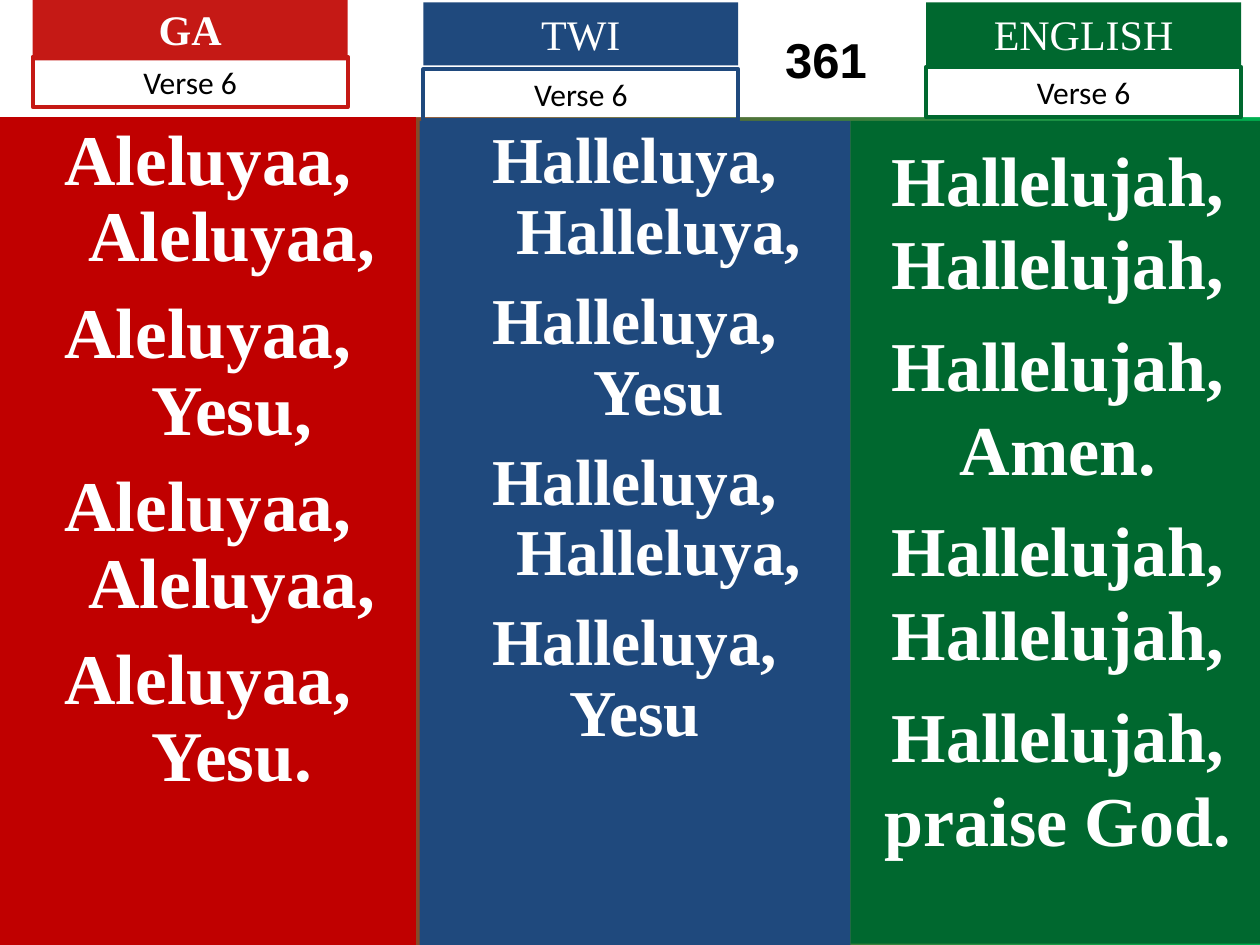
from dataclasses import dataclass

from lxml import etree
from pptx import Presentation
from pptx.dml.color import RGBColor
from pptx.enum.text import MSO_ANCHOR, MSO_AUTO_SIZE, PP_ALIGN
from pptx.oxml.ns import qn
from pptx.util import Emu, Inches, Pt

CENTER = PP_ALIGN.CENTER
TOP, MIDDLE = MSO_ANCHOR.TOP, MSO_ANCHOR.MIDDLE
NO_FIT = MSO_AUTO_SIZE.NONE
TWO_CONTENT = 3

# The slide is a grid of 100 columns by 75 rows
WIDTH, HEIGHT = Inches(10), Inches(7.5)
COLUMN, ROW = WIDTH / 100, HEIGHT / 75


@dataclass(frozen=True)
class Theme:
    white: str = "FFFFFF"
    black: str = "000000"
    red: str = "C51915"
    deep_red: str = "C00000"
    blue: str = "1F497D"
    green: str = "00682F"
    bright_green: str = "00B050"
    lyric_font: str = "Times New Roman"
    number_font: str = "Arial"
    verse_font: str = "Calibri"
    number_size: float = 28
    heading_size: float = 24
    verse_size: float = 18
    outline: float = 2.25


THEME = Theme()


@dataclass(frozen=True)
class Area:
    left: float
    top: float
    width: float
    height: float


@dataclass(frozen=True)
class TextStyle:
    font: str
    size: float
    color: str
    bold: bool = False
    spacing: float = 1.0
    before: float = 0
    hanging: float = 0


@dataclass(frozen=True)
class Language:
    name: str
    bold_name: bool
    accent: str
    fill: str
    column: Area
    inset: float
    style: TextStyle
    lines: tuple[str, ...]
    flush_last: bool
    tag_left: float
    heading_top: float
    verse_top: float


def lyric_style(size: float, before: float, spacing: float = 1.0, hanging: float = 0) -> TextStyle:
    return TextStyle(THEME.lyric_font, size, THEME.white, True, spacing, before, hanging)


LANGUAGES = (
    Language("GA", True, THEME.red, THEME.deep_red, Area(0, 9.3, 33, 65.7), 0.5,
             lyric_style(40.7, 11, 0.9, 3.8),
             ("Aleluyaa, Aleluyaa,", "Aleluyaa, Yesu,") + ("Aleluyaa, Aleluyaa,", "Aleluyaa, Yesu."),
             False, 2.6, -0.2, 4.5),
    Language("TWI", False, THEME.blue, THEME.blue, Area(33.3, 9.6, 34.2, 65.4), 0.5,
             lyric_style(37.4, 11, 0.9, 3.8),
             ("Halleluya, Halleluya,", "Halleluya, Yesu") * 2,
             True, 33.6, 0.2, 5.5),
    Language("ENGLISH", False, THEME.green, THEME.green, Area(67.5, 9.6, 32.9, 65.3), 1.2,
             lyric_style(40, 10),
             ("Hallelujah, Hallelujah,", "Hallelujah, Amen.",
              "Hallelujah, Hallelujah,", "Hallelujah, praise God."),
             False, 73.5, 0.2, 5.3),
)


def rgb(color: str) -> RGBColor:
    return RGBColor.from_string(color)


def place(box, area: Area) -> None:
    box.left, box.top = Emu(round(area.left * COLUMN)), Emu(round(area.top * ROW))
    box.width, box.height = Emu(round(area.width * COLUMN)), Emu(round(area.height * ROW))


def paint(box, color: str) -> None:
    box.fill.solid()
    box.fill.fore_color.rgb = rgb(color)


def write(box, lines: tuple[str, ...], style: TextStyle, anchor=TOP,
          inset: float = 0.5, left_inset: float = 1, flush_last: bool = False) -> None:
    """Fill a box with centred paragraphs; flush_last drops the last hanging indent."""
    frame = box.text_frame
    frame_format = {
        "word_wrap": True, "auto_size": NO_FIT, "vertical_anchor": anchor,
        "margin_left": Emu(round(left_inset * COLUMN)), "margin_right": Emu(round(COLUMN)),
        "margin_top": Emu(round(inset * ROW)), "margin_bottom": Emu(round(0.5 * ROW)),
    }
    for name, value in frame_format.items():
        setattr(frame, name, value)
    for index, line in enumerate(lines):
        para = frame.paragraphs[0] if index == 0 else frame.add_paragraph()
        flush = flush_last and index == len(lines) - 1
        indent = 0 if flush else round(style.hanging * COLUMN)
        properties = para._p.get_or_add_pPr()
        properties.set("marL", str(indent))
        properties.set("indent", str(-indent))
        etree.SubElement(properties, qn("a:buNone"))
        para_format = {
            "alignment": CENTER, "line_spacing": style.spacing,
            "space_before": Pt(style.before if index else 0), "space_after": Pt(0),
        }
        for name, value in para_format.items():
            setattr(para, name, value)
        span = para.add_run()
        span.text = line
        font_format = {"name": style.font, "size": Pt(style.size), "bold": style.bold}
        for name, value in font_format.items():
            setattr(span.font, name, value)
        span.font.color.rgb = rgb(style.color)


def add_box(page, area: Area):
    box = page.shapes.add_textbox(0, 0, 0, 0)
    place(box, area)
    return box


def draw_lyrics(box, language: Language) -> None:
    place(box, language.column)
    paint(box, language.fill)
    write(box, language.lines, language.style, inset=language.inset,
          flush_last=language.flush_last)


def draw_tags(page, language: Language) -> None:
    heading = add_box(page, Area(language.tag_left, language.heading_top, 25, 5))
    paint(heading, language.accent)
    write(heading, (language.name,),
          TextStyle(THEME.lyric_font, THEME.heading_size, THEME.white, language.bold_name))
    verse = add_box(page, Area(language.tag_left, language.verse_top, 25, 4))
    verse.line.color.rgb = rgb(language.accent)
    verse.line.width = Pt(THEME.outline)
    write(verse, ("Verse 6",), TextStyle(THEME.verse_font, THEME.verse_size, THEME.black))


def main() -> None:
    deck = Presentation()
    deck.slide_width, deck.slide_height = WIDTH, HEIGHT
    page = deck.slides.add_slide(deck.slide_layouts[TWO_CONTENT])

    # Background running from red to green
    backdrop = page.background.fill
    backdrop.gradient()
    backdrop.gradient_angle = 0
    for stop, position, color in zip(backdrop.gradient_stops, (0, 1), (THEME.red, THEME.bright_green)):
        stop.position = position
        stop.color.rgb = rgb(color)

    # Hymn number, centred in the gap between the TWI and ENGLISH tags
    title = page.shapes.title
    place(title, Area(0, 0, 100, 9.3))
    paint(title, THEME.white)
    write(title, ("361",), TextStyle(THEME.number_font, THEME.number_size, THEME.black, True),
          MIDDLE, left_inset=32.1)

    # Lyric columns: two body placeholders, then a text box
    bodies = [page.placeholders[1], page.placeholders[2], add_box(page, LANGUAGES[-1].column)]
    for body, language in zip(bodies, LANGUAGES):
        draw_lyrics(body, language)

    # Language names and verse labels
    for language in LANGUAGES:
        draw_tags(page, language)

    deck.save("out.pptx")


if __name__ == "__main__":
    main()
